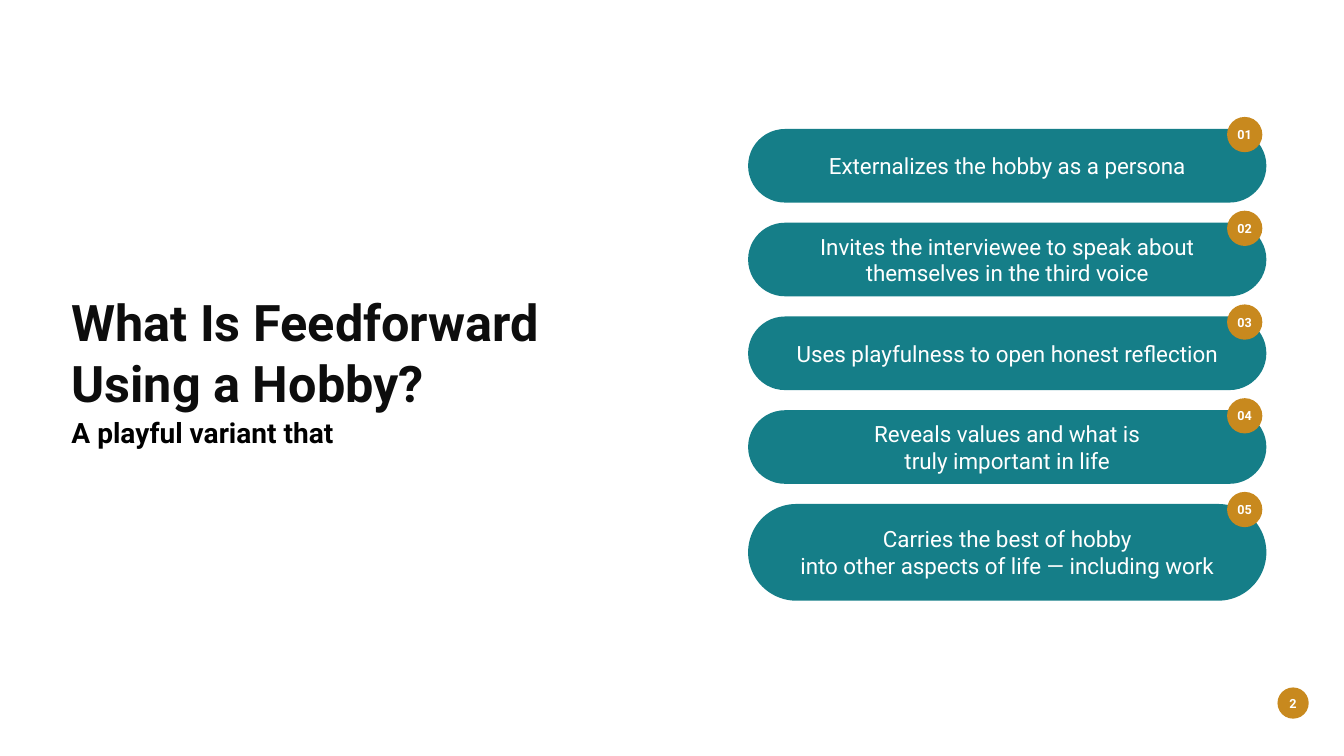
from pptx import Presentation
from pptx.dml.color import RGBColor
from pptx.enum.shapes import MSO_SHAPE as Shape
from pptx.enum.text import MSO_ANCHOR as Anchor, MSO_AUTO_SIZE as AutoSize, PP_ALIGN as Align
from pptx.util import Inches, Pt

COLORS = {"teal": "157E88", "gold": "C8891E", "white": "FFFFFF",
          "title": "0D0D0D", "subtitle": "000000"}


class SlideBuilder:
    font_name = "Roboto"

    def __init__(self, slide):
        self.slide = slide

    def color(self, name):
        return RGBColor.from_string(COLORS[name])

    def style(self, paragraph, size, color, bold=False):
        font = paragraph.font
        font.name, font.size, font.bold = self.font_name, Pt(size), bold
        font.color.rgb = self.color(color)

    def heading(self, left, top, width, height, title, subtitle):
        box = self.slide.shapes.add_textbox(
            Inches(left), Inches(top), Inches(width), Inches(height))
        frame = box.text_frame
        frame.word_wrap = True
        frame.auto_size = AutoSize.SHAPE_TO_FIT_TEXT
        title_line = frame.paragraphs[0]
        title_line.text = title
        self.style(title_line, 36, "title", bold=True)
        subtitle_line = frame.add_paragraph()
        subtitle_line.text = subtitle
        subtitle_line.space_before = subtitle_line.space_after = Pt(2)
        self.style(subtitle_line, 20, "subtitle", bold=True)

    def filled(self, kind, left, top, width, height, fill, lines, size, bold=False):
        shape = self.slide.shapes.add_shape(
            kind, Inches(left), Inches(top), Inches(width), Inches(height))
        shape.shadow.inherit = False
        shape.fill.solid()
        shape.fill.fore_color.rgb = self.color(fill)
        shape.line.fill.background()
        frame = shape.text_frame
        frame.word_wrap = True
        frame.vertical_anchor = Anchor.MIDDLE
        frame.text = "\n".join(lines)
        for paragraph in frame.paragraphs:
            paragraph.alignment = Align.CENTER
            self.style(paragraph, size, "white", bold)
        return shape

    def pill(self, left, top, width, height, lines):
        pill = self.filled(Shape.ROUNDED_RECTANGLE, left, top, width, height,
                           "teal", lines, 16)
        pill.adjustments[0] = 0.5

    def badge(self, left, top, diameter, label):
        badge = self.filled(Shape.OVAL, left, top, diameter, diameter,
                            "gold", [label], 9, bold=True)
        frame = badge.text_frame
        frame.margin_left = frame.margin_right = 0
        frame.margin_top = frame.margin_bottom = 0


def main():
    deck = Presentation()
    deck.slide_width, deck.slide_height = Inches(13.33), Inches(7.5)
    builder = SlideBuilder(deck.slides.add_slide(deck.slide_layouts[6]))

    # Heading and page number
    builder.heading(0.61, 2.84, 5.81, 1.68,
                    "What Is Feedforward Using a Hobby?", "A playful variant that")
    builder.badge(12.67, 6.82, 0.31, "2")

    # Numbered traits; the last pill is taller
    traits = [
        ["Externalizes the hobby as a persona"],
        ["Invites the interviewee to speak about themselves in the third voice"],
        ["Uses playfulness to open honest reflection"],
        ["Reveals values and what is", "truly important in life"],
        ["Carries the best of hobby", "into other aspects of life — including work"],
    ]
    first_top, pitch = 1.28, 0.93
    for row, lines in enumerate(traits):
        height = 0.96 if row == len(traits) - 1 else 0.73
        builder.pill(7.42, first_top + row * pitch, 5.14, height, lines)
    for row in range(len(traits)):
        builder.badge(12.17, first_top - 0.12 + row * pitch, 0.35, f"{row + 1:02}")

    deck.save("out.pptx")


if __name__ == "__main__":
    main()
